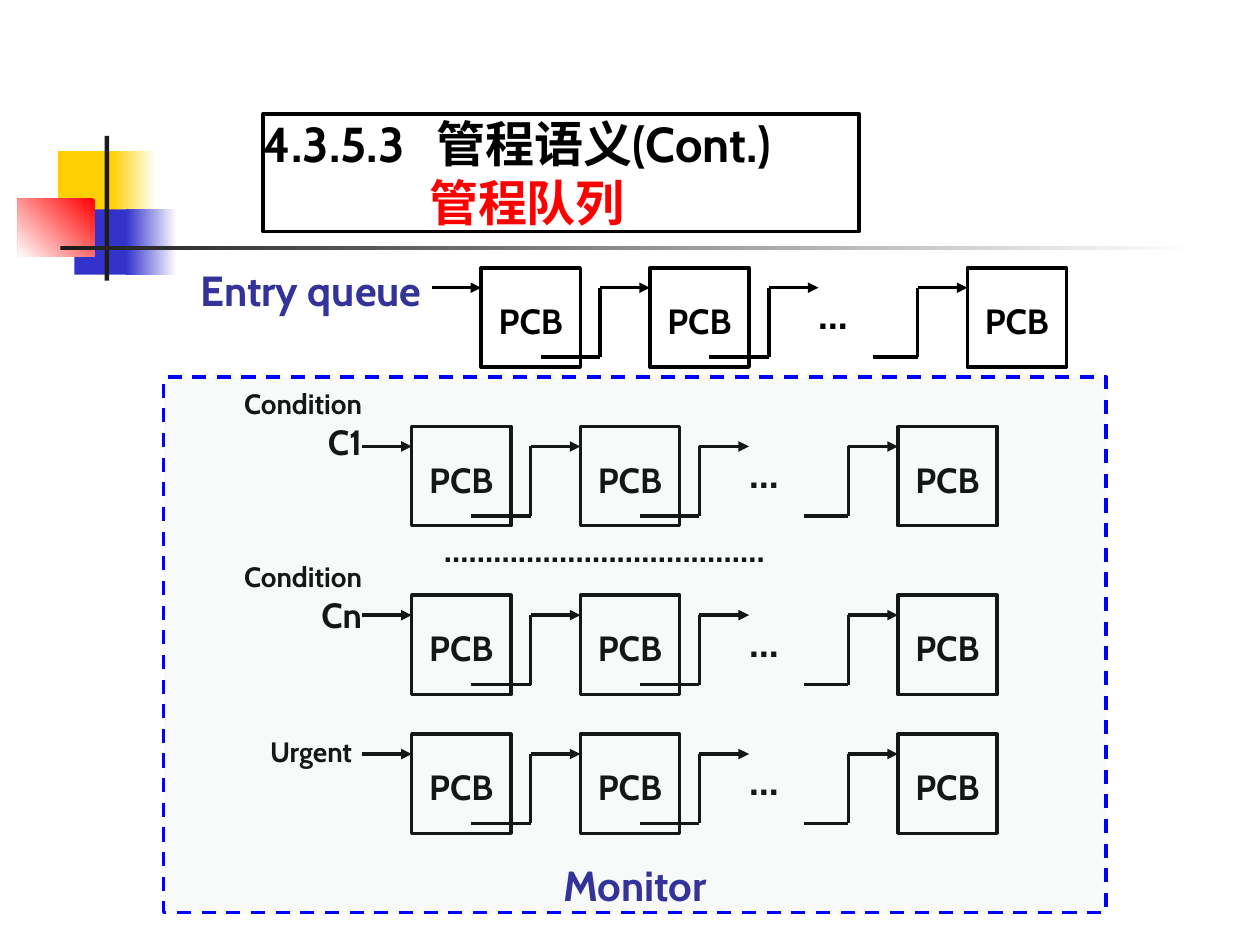
from lxml.etree import SubElement
from pptx import Presentation
from pptx.dml.color import RGBColor
from pptx.enum.dml import MSO_LINE
from pptx.enum.shapes import MSO_CONNECTOR, MSO_SHAPE
from pptx.enum.text import MSO_ANCHOR, MSO_AUTO_SIZE, PP_ALIGN
from pptx.oxml.ns import qn
from pptx.util import Cm, Pt

BLACK = RGBColor(0x00, 0x00, 0x00)
WHITE = RGBColor(0xFF, 0xFF, 0xFF)
CHARCOAL = RGBColor(0x1C, 0x1C, 0x1C)
YELLOW = RGBColor(0xFF, 0xCF, 0x01)
BLUE = RGBColor(0x33, 0x33, 0xCC)
RED = RGBColor(0xFF, 0x00, 0x00)
INDIGO = RGBColor(0x33, 0x33, 0x99)
BORDER_BLUE = RGBColor(0x00, 0x00, 0xFF)
MIST = RGBColor(0xC1, 0xD5, 0xD5)

PCB_SIZE = 2
PCB_OFFSETS = (1, 4.4, 10.8)
ARROWS = ((0, 1), (3.4, 4.4), (6.8, 7.8), (9.8, 10.8))
TAILS = ((2.2, 3.4), (5.6, 6.8), (8.9, 9.8))
ARROW_DROP, TAIL_DROP = 0.4, 1.8
ELLIPSIS_OFFSET = 7.8


class QueueSlide:
    font_format = {"name": "Cabin", "bold": True}
    line_width = Pt(2)

    def __init__(self, slide):
        self.slide = slide
        self.shapes = slide.shapes

    def begin_group(self):
        self.shapes = self.slide.shapes.add_group_shape().shapes

    def end_group(self):
        self.shapes = self.slide.shapes

    def add_text(self, paragraph, text, size, color=BLACK,
                 align=PP_ALIGN.LEFT):
        paragraph.alignment = align
        run = paragraph.add_run()
        run.text = text
        for key, value in {**self.font_format, "size": Pt(size)}.items():
            setattr(run.font, key, value)
        run.font.color.rgb = color

    def frame(self, holder, insets, anchor=MSO_ANCHOR.TOP):
        sides = ("margin_left", "margin_top", "margin_right", "margin_bottom")
        settings = {side: Cm(inset) for side, inset in zip(sides, insets)}
        settings.update(word_wrap=True, vertical_anchor=anchor,
                        auto_size=MSO_AUTO_SIZE.NONE)
        for key, value in settings.items():
            setattr(holder.text_frame, key, value)
        return holder.text_frame.paragraphs[0]

    def outline(self, shape, color=BLACK):
        shape.line.color.rgb = color
        shape.line.width = self.line_width

    def rectangle(self, box):
        shape = self.shapes.add_shape(MSO_SHAPE.RECTANGLE, *map(Cm, box))
        shape.shadow.inherit = False
        return shape

    def ornament(self, box, color, fade_angle=None):
        shape = self.rectangle(box)
        shape.line.fill.background()
        if fade_angle is None:
            shape.fill.solid()
            shape.fill.fore_color.rgb = color
            return
        shape.fill.gradient()
        shape.fill.gradient_angle = fade_angle
        for stop, shade in zip(shape.fill.gradient_stops, (color, WHITE)):
            stop.color.rgb = shade

    def title(self, box, number, heading, subtitle):
        title = self.slide.shapes.title
        for key, value in zip(("left", "top", "width", "height"), box):
            setattr(title, key, Cm(value))
        self.outline(title)
        first = self.frame(title, (0, 0, 0, 0), MSO_ANCHOR.BOTTOM)
        tabs = SubElement(first._p.get_or_add_pPr(), qn("a:tabLst"))
        SubElement(tabs, qn("a:tab"), pos=str(Cm(3.5)), algn="l")
        self.add_text(first, f"{number}\t{heading}", 28)
        second = title.text_frame.add_paragraph()
        second._p.get_or_add_pPr().set("marL", str(Cm(3.35)))
        self.add_text(second, subtitle, 28, RED)

    def label(self, box, parts, color=BLACK, align=PP_ALIGN.RIGHT,
              insets=(0, 0, 0, 0)):
        holder = self.shapes.add_textbox(*map(Cm, box))
        paragraph = self.frame(holder, insets)
        for text, size in parts:
            self.add_text(paragraph, text, size, color, align)

    def pcb(self, left, top):
        shape = self.rectangle((left, top, PCB_SIZE, PCB_SIZE))
        shape.fill.background()
        self.outline(shape)
        paragraph = self.frame(shape, (0.05, 0.64, 0.05, 0.13))
        self.add_text(paragraph, "PCB", 20, align=PP_ALIGN.CENTER)

    def link(self, start, end, arrow=False):
        line = self.shapes.add_connector(
            MSO_CONNECTOR.STRAIGHT, *map(Cm, start + end))
        self.outline(line)
        properties = line._element.spPr
        SubElement(properties, qn("a:effectLst"))
        if arrow:
            SubElement(properties.find(qn("a:ln")), qn("a:tailEnd"),
                       type="triangle")

    def queue(self, left, top):
        upper, lower = top + ARROW_DROP, top + TAIL_DROP
        for offset in PCB_OFFSETS:
            self.pcb(left + offset, top)
        for start, end in ARROWS:
            self.link((left + start, upper), (left + end, upper), arrow=True)
        for start, corner in TAILS:
            self.link((left + start, lower), (left + corner, lower))
            self.link((left + corner, upper), (left + corner, lower))
        self.label((left + ELLIPSIS_OFFSET, upper, 1, 1.02), [("…", 24)],
                   align=PP_ALIGN.LEFT)

    def monitor(self, box):
        shape = self.rectangle(box)
        shape.fill.solid()
        shape.fill.fore_color.rgb = MIST
        tint = shape._element.spPr.find(qn("a:solidFill"))[0]
        SubElement(tint, qn("a:alpha"), val="11000")
        self.outline(shape, BORDER_BLUE)
        shape.line.dash_style = MSO_LINE.DASH


def main():
    presentation = Presentation()
    presentation.slide_width, presentation.slide_height = Cm(25.4), Cm(19.05)
    page = QueueSlide(
        presentation.slides.add_slide(presentation.slide_layouts[5]))

    for box, color, fade_angle in (
        ((1.17, 3.05, 1.22, 1.32), YELLOW, None),
        ((2.24, 3.05, 0.91, 1.32), YELLOW, 0),
        ((1.5, 4.22, 1.17, 1.32), BLUE, None),
        ((2.54, 4.22, 1.02, 1.32), BLUE, 0),
        ((0.36, 4.01, 1.55, 1.17), RED, 225),
        ((2.11, 2.74, 0.09, 2.92), CHARCOAL, None),
        ((1.22, 4.95, 22.86, 0.09), CHARCOAL, 0),
    ):
        page.ornament(box, color, fade_angle)
    page.title((5.3, 2.3, 12.02, 2.37),
               "4.3.5.3", "管程语义(Cont.)", "管程队列")

    page.begin_group()
    for top in (8.6, 12, 14.8):
        page.queue(7.3, top)
    for top, condition in ((7.8, "C1"), (11.28, "Cn")):
        page.label((4.3, top, 3, 1.52), [("Condition ", 16), (condition, 20)])
    page.label((8.7, 10.5, 11, 1.12), [("…………………………………", 20)],
               align=PP_ALIGN.LEFT, insets=(0.25, 0.13, 0.25, 0.13))
    page.label((4.1, 14.8, 3, 0.69), [("Urgent", 16)])

    page.begin_group()
    page.queue(8.7, 5.4)
    page.end_group()
    page.label((2.3, 5.33, 6.2, 1.02), [("Entry queue", 24)], INDIGO)

    page.monitor((3.3, 7.6, 19, 10.8))
    page.label((8.3, 17.2, 9, 1.27), [("Monitor", 24)], INDIGO,
               PP_ALIGN.CENTER, (0.25, 0.13, 0.25, 0.13))
    presentation.save("out.pptx")


if __name__ == "__main__":
    main()
